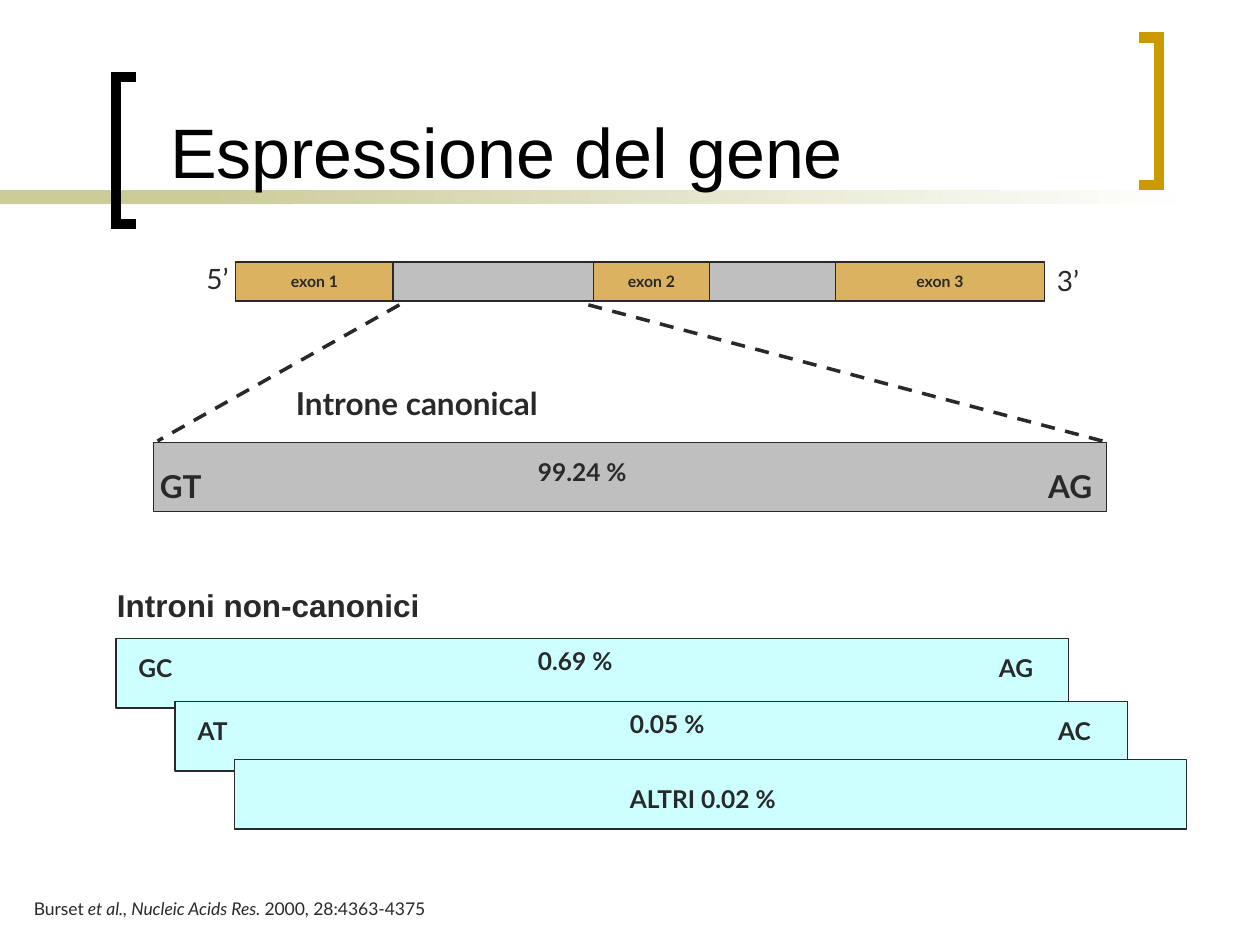
from lxml import etree
from pptx import Presentation
from pptx.dml.color import RGBColor
from pptx.enum.dml import MSO_LINE
from pptx.enum.shapes import MSO_CONNECTOR, MSO_SHAPE
from pptx.enum.text import MSO_ANCHOR, PP_ALIGN
from pptx.oxml.ns import qn
from pptx.util import Inches, Pt

RECT = MSO_SHAPE.RECTANGLE
STRAIGHT = MSO_CONNECTOR.STRAIGHT
DASH = MSO_LINE.DASH
MIDDLE, BOTTOM = MSO_ANCHOR.MIDDLE, MSO_ANCHOR.BOTTOM
LEFT, CENTER = PP_ALIGN.LEFT, PP_ALIGN.CENTER

INK = RGBColor(0x29, 0x29, 0x29)
BLACK = RGBColor(0, 0, 0)
WHITE = RGBColor(0xFF, 0xFF, 0xFF)
OLIVE = RGBColor(0xCC, 0xCC, 0x99)
GOLD = RGBColor(0xCC, 0x99, 0x00)
TAN = RGBColor(0xDB, 0xB2, 0x5F)
GREY = RGBColor(0xBF, 0xBF, 0xBF)
CYAN = RGBColor(0xCC, 0xFF, 0xFF)


class Page:
    def __init__(self, slide, font="Lato", ink=INK):
        self.slide = slide
        self.shapes = slide.shapes
        self.font = font
        self.ink = ink

    def style(self, run, size, bold=False, font=None, color=None):
        run.font.size = Pt(size)
        run.font.bold = bold
        run.font.name = font or self.font
        run.font.color.rgb = color or self.ink

    def title(self, text, x, y, w, h):
        """Place the title above everything drawn so far."""
        head = self.shapes.title
        head.left, head.top = Inches(x), Inches(y)
        head.width, head.height = Inches(w), Inches(h)
        frame = head.text_frame
        frame.text = text
        frame.vertical_anchor = BOTTOM
        para = frame.paragraphs[0]
        para.alignment = LEFT
        self.style(para.runs[0], 40, font="Arial", color=BLACK)
        head.element.getparent().append(head.element)

    def box(self, x, y, w, h, fill, edge=True, text=None):
        shape = self.shapes.add_shape(RECT, Inches(x), Inches(y), Inches(w), Inches(h))
        shape.shadow.inherit = False
        shape.fill.solid()
        shape.fill.fore_color.rgb = fill
        if edge:
            shape.line.color.rgb = self.ink
            shape.line.width = Pt(0.75)
        else:
            shape.line.fill.background()
        if text:
            frame = shape.text_frame
            frame.text = text
            frame.word_wrap = False
            frame.vertical_anchor = MIDDLE
            para = frame.paragraphs[0]
            para.alignment = CENTER
            self.style(para.runs[0], 9, bold=True)
        return shape

    def fade(self, x, y, w, h, start, end):
        fill = self.box(x, y, w, h, start, edge=False).fill
        fill.gradient()
        fill.gradient_angle = 0
        for stop, color in zip(fill.gradient_stops, (start, end)):
            stop.color.rgb = color

    def label(self, text, x, y, w, h, size=14, bold=True, font=None):
        area = self.shapes.add_textbox(Inches(x), Inches(y), Inches(w), Inches(h))
        frame = area.text_frame
        frame.word_wrap = True
        frame.text = text
        para = frame.paragraphs[0]
        self.style(para.runs[0], size, bold, font)
        return para

    def bracket(self, spine, tips, top, color, height=1.17):
        low = top + height
        points = [(tips, top), (spine, top), (spine, low), (tips, low)]
        pen, *rest = [(Inches(x), Inches(y)) for x, y in points]
        path = self.shapes.build_freeform(*pen)
        path.add_line_segments(rest, close=False)
        shape = path.convert_to_shape()
        shape.shadow.inherit = False
        shape.fill.background()
        shape.line.color.rgb = color
        shape.line.width = Pt(6)
        line = shape.element.spPr.find(qn("a:ln"))
        etree.SubElement(line, qn("a:miter"), lim="800000")

    def dash(self, x1, y1, x2, y2):
        link = self.shapes.add_connector(
            STRAIGHT, Inches(x1), Inches(y1), Inches(x2), Inches(y2))
        link.line.color.rgb = self.ink
        link.line.width = Pt(2)
        link.line.dash_style = DASH
        etree.SubElement(link.element.spPr, qn("a:effectLst"))


def frame_title(page):
    page.box(0, 1.51, 2.33, 0.11, OLIVE, edge=False)
    page.fade(1.58, 1.51, 7.92, 0.11, OLIVE, WHITE)
    page.bracket(0.92, 1.08, 0.61, BLACK)
    page.bracket(9.2, 9.04, 0.3, GOLD)
    page.title("Espressione del gene", 1.25, 0.92, 8.52, 0.66)


def draw_gene(page):
    page.label("5’", 1.54, 2.03, 0.42, 0.37, 16, bold=False)
    page.label("3’", 8.29, 2.04, 0.42, 0.37, 16, bold=False)
    parts = [("exon 1", 1.25), (None, 1.59), ("exon 2", 0.92), (None, 1), ("exon 3", 1.66)]
    x = 1.87
    for name, width in parts:
        page.box(x, 2.08, width, 0.31, TAN if name else GREY, text=name)
        x += width


def draw_intron(page):
    page.box(1.22, 3.51, 7.56, 0.55, GREY)
    page.label("GT", 1.17, 3.66, 0.6, 0.4, 18)
    page.label("AG", 8.22, 3.66, 0.6, 0.4, 18)
    page.label("99.24 %", 4.17, 3.58, 1.18, 0.34)
    page.label("Introne canonical", 2.25, 3, 2.75, 0.4, 18)
    page.dash(3.17, 2.42, 1.25, 3.5)
    page.dash(4.67, 2.42, 8.75, 3.5)


def draw_others(page):
    page.label("Introni non-canonici", 0.83, 4.6, 3.01, 0.4, 18, font="Arial")
    rows = [(0.92, 5.07, "GC", "AG", "0.69 %", 4.17),
            (1.39, 5.57, "AT", "AC", "0.05 %", 4.9)]
    for x, y, first, last, share, mid in rows:
        page.box(x, y, 7.56, 0.55, CYAN)
        page.label(first, x + 0.08, y + 0.06, 0.58, 0.34)
        page.label(last, x + 6.91, y + 0.06, 0.58, 0.34)
        page.label(share, mid, y + 0.01, 1.18, 0.34)
    page.box(1.86, 6.03, 7.56, 0.55, CYAN)
    page.label("ALTRI 0.02 %", 4.9, 6.17, 1.93, 0.34)


def cite(page):
    para = page.label("Burset", 0.17, 7.08, 8.57, 0.27, 10, bold=False)
    for text, slant in [(" et al., Nucleic Acids Res. ", True),
                        ("2000, 28:4363-4375", False)]:
        run = para.add_run()
        run.text = text
        page.style(run, 10)
        run.font.italic = slant


def main():
    deck = Presentation()
    deck.slide_width, deck.slide_height = Inches(10), Inches(7.5)
    page = Page(deck.slides.add_slide(deck.slide_layouts[5]))
    for draw in (frame_title, draw_gene, draw_intron, draw_others, cite):
        draw(page)
    deck.save("out.pptx")


if __name__ == "__main__":
    main()
